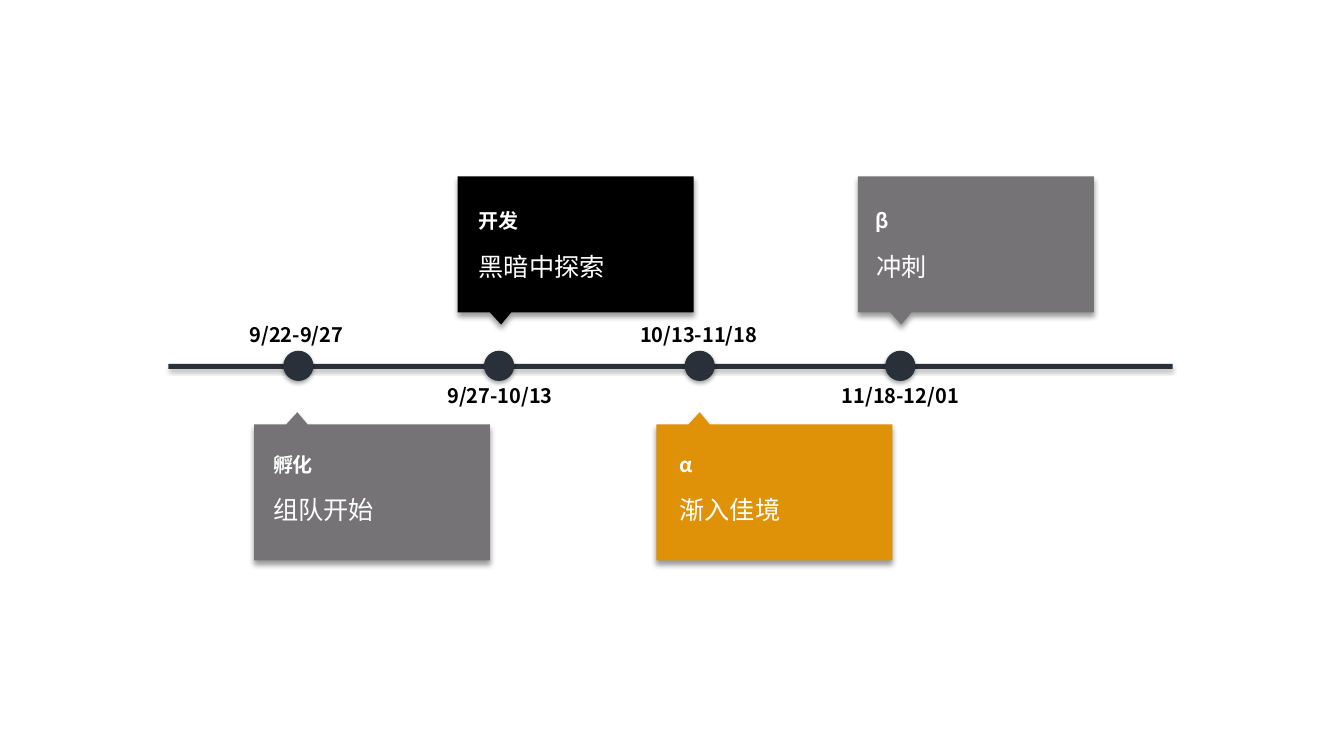
from lxml.etree import SubElement as Sub
from pptx import Presentation
from pptx.dml.color import RGBColor
from pptx.enum.shapes import MSO_SHAPE as Kind
from pptx.enum.text import MSO_AUTO_SIZE as Fit, PP_ALIGN as Align
from pptx.oxml.ns import qn
from pptx.util import Inches, Pt

FONT = "Noto Sans CJK SC"
NAVY = RGBColor(0x29, 0x30, 0x3A)
GREY = RGBColor(0x75, 0x73, 0x76)
GOLD = RGBColor(0xDF, 0x91, 0x07)
BLACK = RGBColor(0, 0, 0)
WHITE = RGBColor(255, 255, 255)

UP, DOWN = -1, 1
TIP_Y = {UP: 3.22, DOWN: 4.09}
HEAD_Y = {UP: 2.02, DOWN: 4.44}
DATE_Y = {UP: 3.76, DOWN: 3.15}

# Side of the line, tip x, text x, fill, heading, note, dates
STAGES = [
    (DOWN, 2.95, 2.61, GREY, "孵化", "组队开始", "9/22-9/27"),
    (UP, 4.97, 4.65, BLACK, "开发", "黑暗中探索", "9/27-10/13"),
    (DOWN, 6.94, 6.64, GOLD, "α", "渐入佳境", "10/13-11/18"),
    (UP, 8.94, 8.59, GREY, "β", "冲刺", "11/18-12/01"),
]

BOLD = {"size": Pt(14.3), "bold": True}
PLAIN = {"size": Pt(18), "bold": False}


def paint(shape, color, alpha, blur, dist):
    """Fill a shape and give it a soft shadow straight below."""
    shape.fill.solid()
    shape.fill.fore_color.rgb = color
    shape.line.fill.background()
    shape.shadow.inherit = False
    effects = shape._element.spPr.find(qn("a:effectLst"))
    shade = Sub(effects, qn("a:outerShdw"), blurRad=str(Pt(blur)),
                dist=str(Pt(dist)), dir="5400000", rotWithShape="0")
    tone = Sub(shade, qn("a:srgbClr"), val="000000")
    Sub(tone, qn("a:alpha"), val=str(alpha * 1000))


def add_mark(slide, kind, *box):
    shape = slide.shapes.add_shape(kind, *map(Inches, box))
    paint(shape, NAVY, 35, 3.1, 1.8)


def add_card(slide, x, way, color):
    """Draw a box whose pointer has its tip at x, facing the line."""
    tip = TIP_Y[way]
    base, far = tip + way * 0.12, tip + way * 1.47
    left, right = x - 0.43, x + 1.91
    spots = [(x + 0.1, base), (right, base), (right, far),
             (left, far), (left, base), (x - 0.11, base)]
    form = slide.shapes.build_freeform(Inches(x), Inches(tip))
    form.add_line_segments([(Inches(a), Inches(b)) for a, b in spots])
    paint(form.convert_to_shape(), color, 40, 4, 3)


def add_text(slide, text, box, style, color, wrap=False, **layout):
    frame = slide.shapes.add_textbox(*map(Inches, box)).text_frame
    frame.word_wrap = wrap
    frame.auto_size = Fit.SHAPE_TO_FIT_TEXT
    para = frame.paragraphs[0]
    for name, value in layout.items():
        setattr(para, name, value)
    run = para.add_run()
    run.text = text
    for name, value in {"name": FONT, **style}.items():
        setattr(run.font, name, value)
    run.font.color.rgb = color
    Sub(run._r.get_or_add_rPr(), qn("a:ea"), typeface=FONT)


def main():
    deck = Presentation()
    deck.slide_width, deck.slide_height = Inches(13.33), Inches(7.5)
    slide = deck.slides.add_slide(deck.slide_layouts[6])

    # Time line and its dots
    add_mark(slide, Kind.RECTANGLE, 1.67, 3.61, 9.96, 0.05)
    for i in range(len(STAGES)):
        add_mark(slide, Kind.OVAL, 2.81 + 1.99 * i, 3.48, 0.3, 0.3)

    # Cards with heading, note and dates
    for way, tip, left, color, head, note, dates in STAGES:
        add_card(slide, tip, way, color)
        top = HEAD_Y[way]
        add_text(slide, note, (left, top + 0.33, 2.15, 0.46), PLAIN, WHITE,
                 wrap=True, line_spacing=1.3)
        wide = 0.6 if len(head) > 1 else 0.34
        add_text(slide, head, (left, top, wide, 0.34), BOLD, WHITE)
        wide = 0.15 + 0.12 * len(dates)
        add_text(slide, dates, (tip - 0.01 - wide / 2, DATE_Y[way], wide, 0.34),
                 BOLD, BLACK, alignment=Align.CENTER)

    deck.save("out.pptx")


if __name__ == "__main__":
    main()
